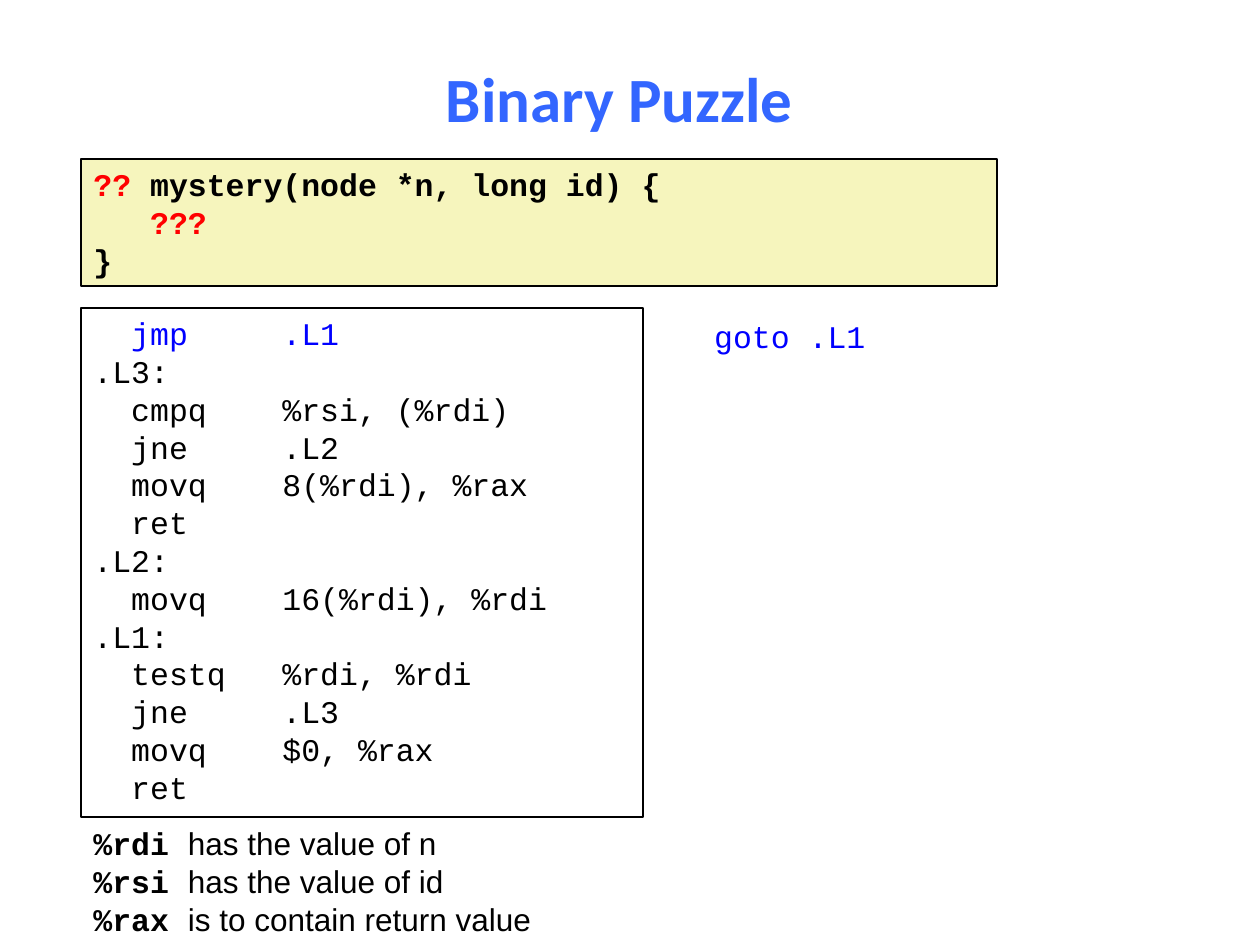
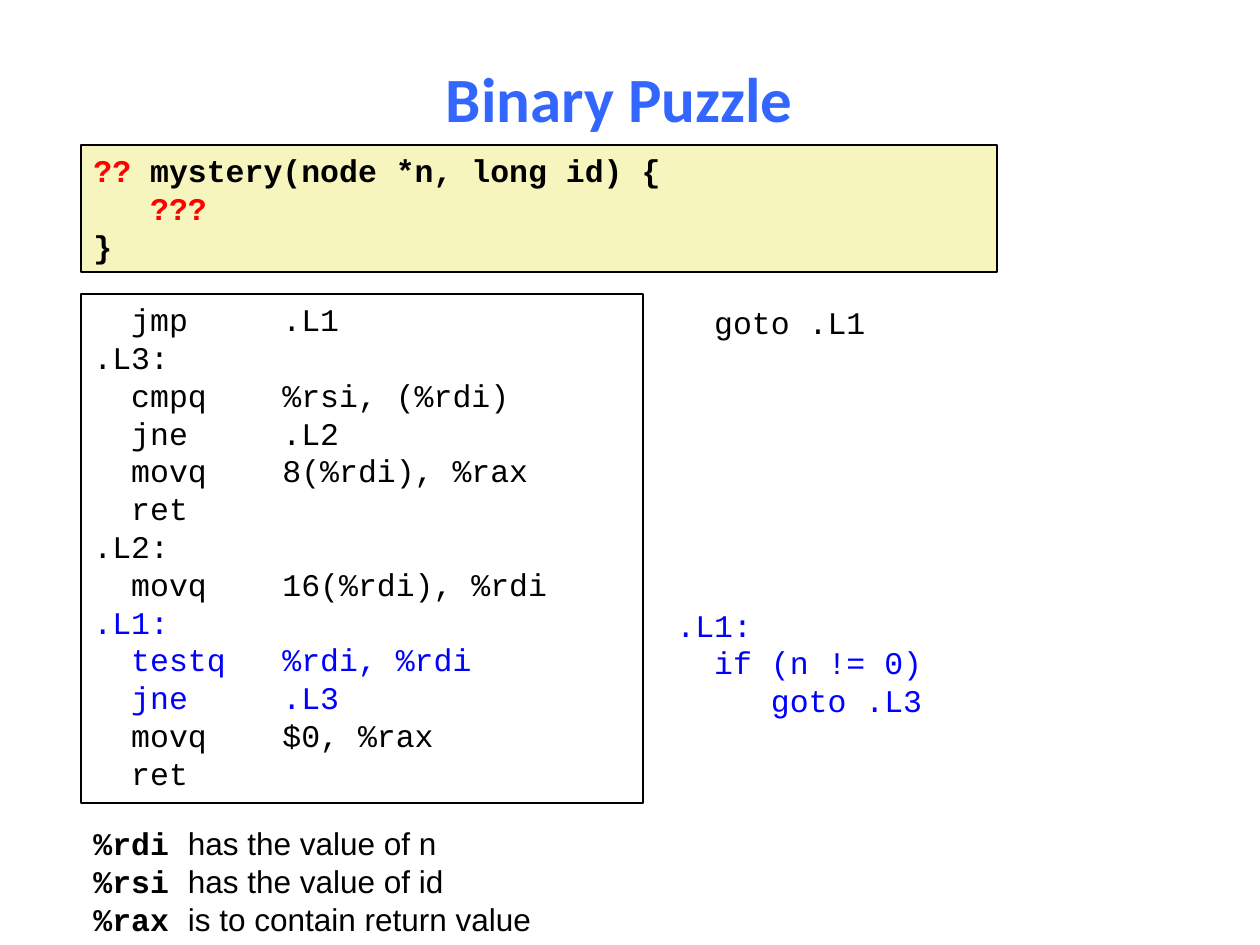
from pptx import Presentation
from pptx.dml.color import RGBColor
from pptx.enum.shapes import MSO_SHAPE
from pptx.enum.text import MSO_ANCHOR, PP_ALIGN
from pptx.util import Emu, Pt

RECTANGLE = MSO_SHAPE.RECTANGLE
TOP, MIDDLE = MSO_ANCHOR.TOP, MSO_ANCHOR.MIDDLE
LEFT, CENTER = PP_ALIGN.LEFT, PP_ALIGN.CENTER

BLACK = RGBColor(0x00, 0x00, 0x00)
WHITE = RGBColor(0xFF, 0xFF, 0xFF)
RED = RGBColor(0xFF, 0x00, 0x00)
BLUE = RGBColor(0x00, 0x00, 0xFF)
TITLE_BLUE = RGBColor(0x33, 0x66, 0xFF)
CREAM = RGBColor(0xF6, 0xF5, 0xBD)

CODE_FONT, TEXT_FONT, TITLE_FONT = "Courier New", "Arial", "Calibri"
LINE_HEIGHT = 21.6
PIXEL = 914400 / 126
TITLE_ONLY = 5

TITLE_BOX = (42, 58, 1155, 79)
NOTES_BOX = (81, 818, 460, 127)
PANEL_LEFT = 81

ASSEMBLY = [
    ("jmp", ".L1"), ".L3:", ("cmpq", "%rsi, (%rdi)"), ("jne", ".L2"),
    ("movq", "8(%rdi), %rax"), ("ret", ""), ".L2:",
    ("movq", "16(%rdi), %rdi"), ".L1:", ("testq", "%rdi, %rdi"),
    ("jne", ".L3"), ("movq", "$0, %rax"), ("ret", ""),
]
REGISTERS = [
    ("%rdi", "has the value of n"),
    ("%rsi", "has the value of id"),
    ("%rax", "is to contain return value"),
]


def pixels(*lengths):
    """Turn pixel lengths into EMU."""
    return [Emu(round(length * PIXEL)) for length in lengths]


def add_text(paragraph, text, font=CODE_FONT, size=18, color=BLACK, bold=False):
    """Append one formatted run to a paragraph."""
    run = paragraph.add_run()
    run.text = text
    run.font.name = font
    run.font.size = Pt(size)
    run.font.color.rgb = color
    run.font.bold = bold


def add_paragraph(frame, index, rows_above=0):
    """Start a line of a text frame, leaving whole rows free above it."""
    paragraph = frame.add_paragraph() if index else frame.paragraphs[0]
    paragraph.alignment = LEFT
    paragraph.line_spacing = Pt(LINE_HEIGHT)
    paragraph.space_before = Pt(rows_above * LINE_HEIGHT)
    return paragraph


def indent(columns, text):
    """Indent a code line by a number of columns."""
    return " " * columns + text


def instruction(line):
    """Set an assembly label or instruction in fixed columns."""
    if isinstance(line, str):
        return line
    operation, operands = line
    return indent(2, f"{operation:<8}{operands}".rstrip())


def add_panel(slide, box, fill, outlined=True):
    """Add a flat rectangle and return its text frame."""
    shape = slide.shapes.add_shape(RECTANGLE, *pixels(*box))
    shape.shadow.inherit = False
    shape.fill.solid()
    shape.fill.fore_color.rgb = fill
    if outlined:
        shape.line.color.rgb = BLACK
        shape.line.width = Pt(1)
    else:
        shape.line.fill.background()
    frame = shape.text_frame
    frame.word_wrap = True
    frame.vertical_anchor = TOP
    return frame


def add_title(slide, box, text):
    """Place the slide title."""
    title = slide.shapes.title
    title.left, title.top, title.width, title.height = pixels(*box)
    title.text_frame.vertical_anchor = MIDDLE
    paragraph = title.text_frame.paragraphs[0]
    paragraph.alignment = CENTER
    add_text(paragraph, text, font=TITLE_FONT, size=36, color=TITLE_BLUE, bold=True)


def add_signature(slide, box):
    """Show the C function whose body is unknown."""
    frame = add_panel(slide, box, CREAM)
    lines = [
        [("??", RED), (" mystery(node *n, long id) {", BLACK)],
        [(indent(3, "???"), RED)],
        [("}", BLACK)],
    ]
    for index, runs in enumerate(lines):
        paragraph = add_paragraph(frame, index)
        for text, color in runs:
            add_text(paragraph, text, color=color, bold=True)


def add_assembly(slide, box, highlighted):
    """List the assembly code with the highlighted rows in blue."""
    frame = add_panel(slide, box, WHITE)
    for index, line in enumerate(ASSEMBLY):
        color = BLUE if index in highlighted else BLACK
        add_text(add_paragraph(frame, index), instruction(line), color=color)


def add_translation(slide, box, lines):
    """Write the C translation, each line on its assembly row."""
    frame = add_panel(slide, box, WHITE, outlined=False)
    next_row = 0
    for index, (row, text, color) in enumerate(lines):
        paragraph = add_paragraph(frame, index, rows_above=row - next_row)
        add_text(paragraph, text, color=color)
        next_row = row + 1


def add_register_notes(slide, box):
    """Explain what each register holds."""
    frame = slide.shapes.add_textbox(*pixels(*box)).text_frame
    frame.word_wrap = True
    frame.margin_right = 0
    for index, (register, meaning) in enumerate(REGISTERS):
        paragraph = add_paragraph(frame, index)
        add_text(paragraph, f"{register} ", bold=True)
        add_text(paragraph, meaning, font=TEXT_FONT)


def add_puzzle_slide(presentation, top, highlighted, translation, translation_height):
    """Build one step of the puzzle with its panels starting at top."""
    slide = presentation.slides.add_slide(presentation.slide_layouts[TITLE_ONLY])
    add_title(slide, TITLE_BOX, "Binary Puzzle")
    add_signature(slide, (PANEL_LEFT, top, 916, 127))
    add_assembly(slide, (PANEL_LEFT, top + 149, 562, 509), highlighted)
    add_translation(slide, (PANEL_LEFT + 583, top + 152, 562, translation_height), translation)
    add_register_notes(slide, NOTES_BOX)


def main():
    """Build and save the presentation."""
    presentation = Presentation()
    presentation.slide_width, presentation.slide_height = pixels(1260, 945)
    jump = indent(2, "goto .L1")
    add_puzzle_slide(presentation, 159, {0}, [(0, jump, BLUE)], 470)
    loop_test = [
        (0, jump, BLACK),
        (8, ".L1:", BLUE),
        (9, indent(2, "if (n != 0)"), BLUE),
        (10, indent(5, "goto .L3"), BLUE),
    ]
    add_puzzle_slide(presentation, 145, {8, 9, 10}, loop_test, 509)
    presentation.save("out.pptx")


main()
